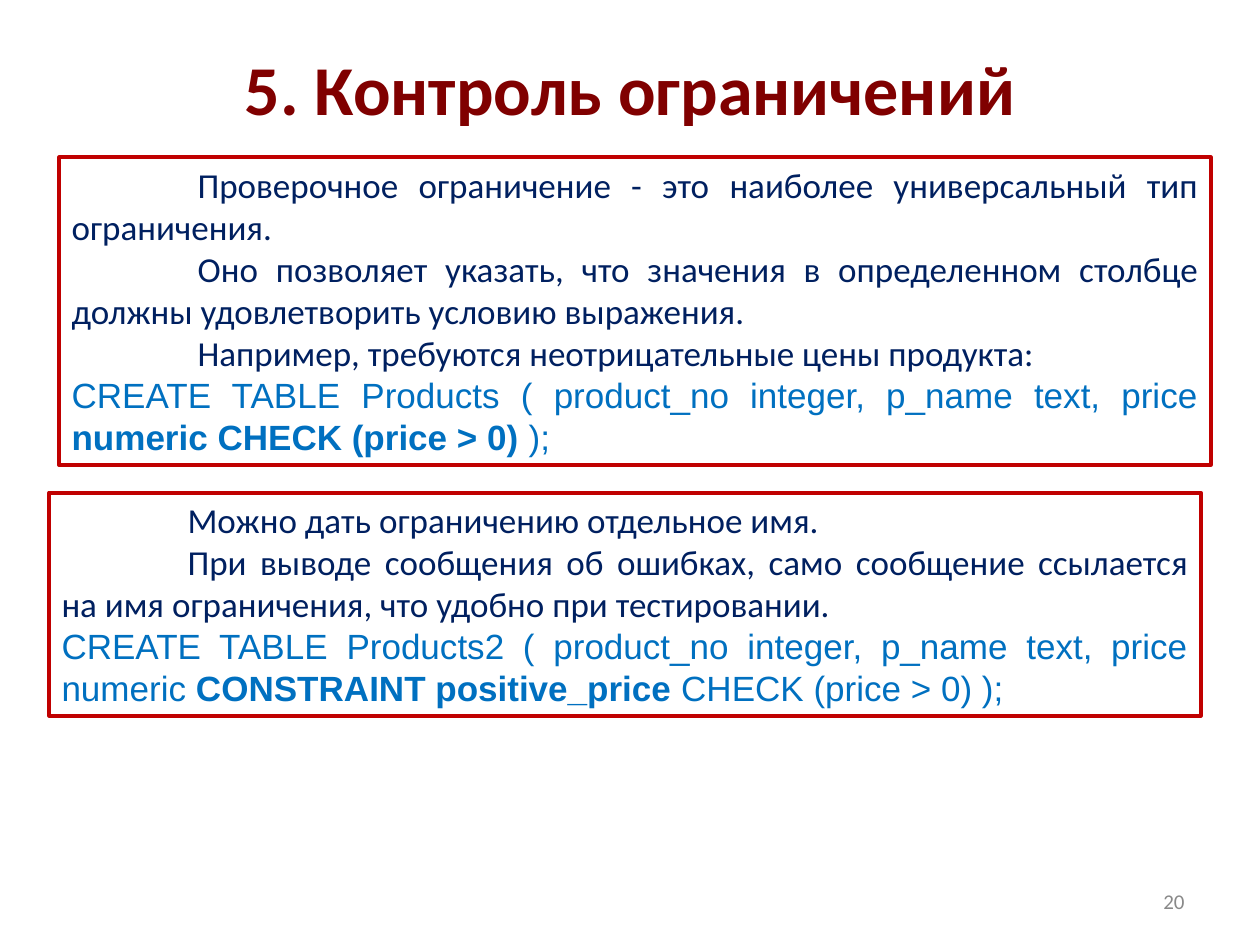
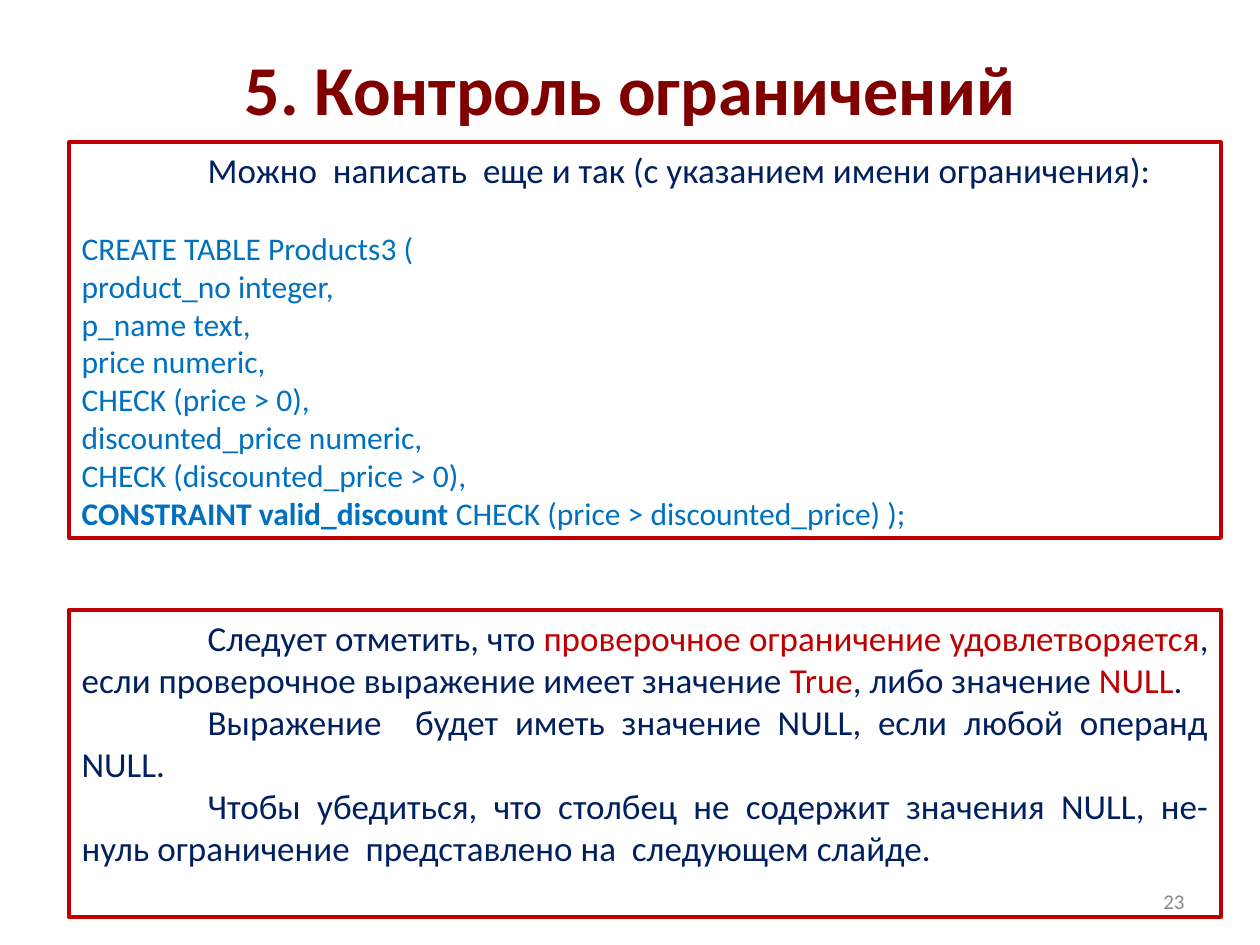
import pptx
import pptx.util
import pptx.dml.color
import pptx.enum.shapes
import pptx.enum.text

RGBColor = pptx.dml.color.RGBColor
ALIGN = pptx.enum.text.PP_ALIGN
ANCHOR = pptx.enum.text.MSO_ANCHOR

MAROON = RGBColor(0x80, 0x00, 0x00)
RED = RGBColor(0xC0, 0x00, 0x00)
NAVY = RGBColor(0x00, 0x20, 0x60)
BLUE = RGBColor(0x00, 0x70, 0xC0)
GREY = RGBColor(0x89, 0x89, 0x89)

EMU_PER_PX = 9144
FIRST_LINE_INDENT = 100
BLANK_LINE_PT = 22
BOX_WIDTH = 914
TITLE = "5. Контроль ограничений"


def font_style(size, color, name="Calibri", bold=False):
    return {"size": pptx.util.Pt(size), "color": color, "name": name, "bold": bold}


HEADING = font_style(40, MAROON, bold=True)
BODY = font_style(20, NAVY)
ACCENT = font_style(20, RED)
SQL = font_style(20, BLUE, "Arial")
SQL_BOLD = font_style(20, BLUE, "Arial", True)
LISTING = font_style(18, BLUE)
LISTING_BOLD = font_style(18, BLUE, bold=True)
NUMBER = font_style(12, GREY)


def px(length):
    return pptx.util.Emu(length * EMU_PER_PX)


def place(shape, left, top, width, height):
    edges = {"left": left, "top": top, "width": width, "height": height}
    for name, length in edges.items():
        setattr(shape, name, px(length))


def set_frame(frame, anchor):
    values = {
        "word_wrap": True,
        "auto_size": pptx.enum.text.MSO_AUTO_SIZE.NONE,
        "vertical_anchor": anchor,
        "margin_left": px(10),
        "margin_right": px(10),
        "margin_top": px(5),
        "margin_bottom": px(5),
    }
    for name, value in values.items():
        setattr(frame, name, value)


def add_span(para, text, style):
    span = para.add_run()
    span.text = text
    for name, value in style.items():
        if name == "color":
            span.font.color.rgb = value
        else:
            setattr(span.font, name, value)


def fill_para(para, spans, align, indent=0, gap_after=0):
    para.alignment = align
    para.space_before = pptx.util.Pt(0)
    para.space_after = pptx.util.Pt(gap_after)
    if indent:
        properties = para._p.get_or_add_pPr()
        properties.set("marL", "0")
        properties.set("indent", str(px(indent)))
    for text, style in spans:
        add_span(para, text, style)


def body_para(*spans, gap_after=0):
    return {"spans": spans, "indent": FIRST_LINE_INDENT, "gap_after": gap_after}


def code_para(*spans):
    return {"spans": spans}


def add_title(page):
    title = page.shapes.title
    place(title, 50, 30, 900, 79)
    set_frame(title.text_frame, ANCHOR.MIDDLE)
    fill_para(title.text_frame.paragraphs[0], [(TITLE, HEADING)], ALIGN.CENTER)


def add_framed_text(page, left, top, height, paras):
    box = page.shapes.add_shape(
        pptx.enum.shapes.MSO_SHAPE.RECTANGLE,
        px(left), px(top), px(BOX_WIDTH), px(height))
    box.shadow.inherit = False
    box.fill.background()
    box.line.color.rgb = RED
    box.line.width = pptx.util.Pt(2.25)
    frame = box.text_frame
    set_frame(frame, ANCHOR.TOP)
    for index, content in enumerate(paras):
        para = frame.add_paragraph() if index else frame.paragraphs[0]
        fill_para(para, align=ALIGN.JUSTIFY, **content)


def add_page_number(page, number):
    box = page.shapes.add_textbox(px(717), px(695), px(233), px(40))
    set_frame(box.text_frame, ANCHOR.MIDDLE)
    fill_para(box.text_frame.paragraphs[0], [(str(number), NUMBER)], ALIGN.RIGHT)


def add_page(deck, number, boxes):
    page = deck.slides.add_slide(deck.slide_layouts[5])
    add_title(page)
    for box in boxes:
        add_framed_text(page, *box)
    add_page_number(page, number)


def check_boxes():
    check_rule = [
        body_para(("Проверочное ограничение - это наиболее универсальный тип ограничения.", BODY)),
        body_para(("Оно позволяет указать, что значения в определенном столбце "
                   "должны удовлетворить условию выражения.", BODY)),
        body_para(("Например, требуются неотрицательные цены продукта:", BODY)),
        code_para(("CREATE TABLE Products ( product_no integer, p_name text, price ", SQL),
                  ("numeric CHECK (price > 0) ", SQL_BOLD), (");", SQL)),
    ]
    named_rule = [
        body_para(("Можно дать ограничению отдельное имя.", BODY)),
        body_para(("При выводе сообщения об ошибках, само сообщение ссылается "
                   "на имя ограничения, что удобно при тестировании.", BODY)),
        code_para(("CREATE TABLE Products2 ( product_no integer, p_name text, price numeric ", SQL),
                  ("CONSTRAINT positive_price", SQL_BOLD), (" CHECK (price > 0) );", SQL)),
    ]
    return [(47, 125, 244, check_rule), (39, 391, 177, named_rule)]


def discount_boxes():
    lines = [
        "CREATE TABLE Products3 (",
        "product_no integer,",
        "p_name text,",
        "price numeric,",
        "CHECK (price > 0),",
        "discounted_price numeric,",
        "CHECK (discounted_price > 0),",
    ]
    listing = [
        body_para(("Можно  написать  еще и так (с указанием имени ограничения):", BODY),
                  gap_after=BLANK_LINE_PT),
        *[code_para((line, LISTING)) for line in lines],
        code_para(("CONSTRAINT valid_discount", LISTING_BOLD),
                  (" CHECK (price > discounted_price) );", LISTING)),
    ]
    null_rule = [
        body_para(("Следует отметить, что ", BODY),
                  ("проверочное ограничение удовлетворяется", ACCENT),
                  (", если проверочное выражение имеет значение ", BODY),
                  ("True", ACCENT), (", либо значение ", BODY),
                  ("NULL", ACCENT), (".", BODY)),
        body_para(("Выражение  будет иметь значение NULL, если любой операнд NULL.", BODY)),
        body_para(("Чтобы убедиться, что столбец не содержит значения NULL, "
                   "не-нуль ограничение  представлено на  следующем слайде.", BODY)),
    ]
    return [(55, 113, 314, listing), (55, 484, 244, null_rule)]


def main():
    deck = pptx.Presentation()
    deck.slide_width = px(1000)
    deck.slide_height = px(750)
    add_page(deck, 20, check_boxes())
    add_page(deck, 23, discount_boxes())
    deck.save("out.pptx")


if __name__ == "__main__":
    main()
